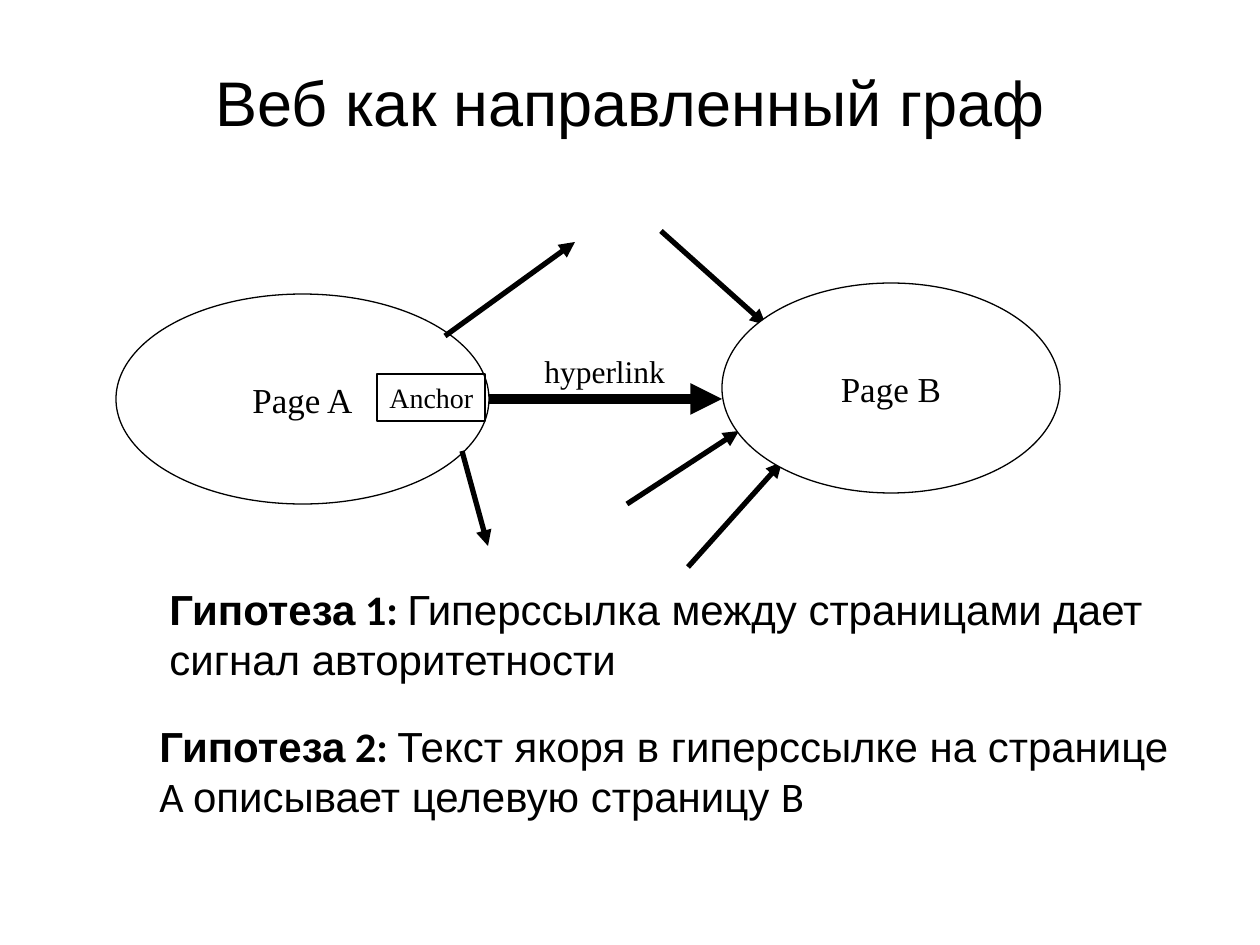
from lxml import etree
from pptx import Presentation
from pptx.dml.color import RGBColor
from pptx.enum.shapes import MSO_CONNECTOR, MSO_SHAPE
from pptx.enum.text import MSO_ANCHOR, PP_ALIGN
from pptx.oxml.ns import qn
from pptx.util import Pt

PX_PER_INCH = 126
EMU_PER_PX = 914400 / PX_PER_INCH

BLACK = RGBColor(0, 0, 0)
WHITE = RGBColor(255, 255, 255)

SANS, LATIN, SERIF = "Arial", "Calibri", "Times New Roman"

STRAIGHT = MSO_CONNECTOR.STRAIGHT
OVAL, RECTANGLE = MSO_SHAPE.OVAL, MSO_SHAPE.RECTANGLE
LEFT, CENTER = PP_ALIGN.LEFT, PP_ALIGN.CENTER
TOP, MIDDLE, BOTTOM = MSO_ANCHOR.TOP, MSO_ANCHOR.MIDDLE, MSO_ANCHOR.BOTTOM


def px(*lengths):
    return [round(length * EMU_PER_PX) for length in lengths]


class GraphSlide:
    """Draws black-on-white elements on one slide, measured in px."""

    def __init__(self, slide):
        self.slide = slide
        self.shapes = slide.shapes

    def add_runs(self, frame, runs, size, align=LEFT, anchor=TOP, wrap=True):
        """Fill a text frame with (text, font name, bold) runs."""
        frame.word_wrap = wrap
        frame.vertical_anchor = anchor
        paragraph = frame.paragraphs[0]
        paragraph.alignment = align
        for text, font_name, bold in runs:
            run = paragraph.add_run()
            run.text = text
            run.font.name = font_name
            run.font.size = Pt(size)
            run.font.bold = bold
            run.font.color.rgb = BLACK

    def title(self, box, text):
        title = self.shapes.title
        title.left, title.top, title.width, title.height = px(*box)
        self.add_runs(title.text_frame, [(text, SANS, False)], 36, CENTER, BOTTOM)

    def text(self, box, runs, size, wrap=True):
        textbox = self.shapes.add_textbox(*px(*box))
        self.add_runs(textbox.text_frame, runs, size, wrap=wrap)

    def outlined(self, kind, box, label, size, align, anchor, fill=None):
        shape = self.shapes.add_shape(kind, *px(*box))
        shape.shadow.inherit = False
        if fill is None:
            shape.fill.background()
        else:
            shape.fill.solid()
            shape.fill.fore_color.rgb = fill
        shape.line.color.rgb = BLACK
        shape.line.width = Pt(0.75)
        self.add_runs(shape.text_frame, [(label, SERIF, False)], size, align, anchor, wrap=False)

    def page(self, box, label):
        self.outlined(OVAL, box, label, 20, CENTER, MIDDLE, WHITE)

    def anchor(self, box, label):
        self.outlined(RECTANGLE, box, label, 16, LEFT, TOP)

    def arrow(self, start, end, width=3):
        connector = self.shapes.add_connector(STRAIGHT, *px(*start, *end))
        connector.line.color.rgb = BLACK
        connector.line.width = Pt(width)
        properties = connector._element.spPr
        line = properties.find(qn("a:ln"))
        etree.SubElement(line, qn("a:tailEnd"), type="triangle")
        etree.SubElement(properties, qn("a:effectLst"))


def main():
    presentation = Presentation()
    presentation.slide_width, presentation.slide_height = px(1260, 945)
    title_only = presentation.slide_layouts[5]
    graph = GraphSlide(presentation.slides.add_slide(title_only))

    graph.title((63, 38, 1134, 107), "Веб как направленный граф")

    graph.text((157, 577, 1018, 113), [
        ("Гипотеза", SANS, True),
        (" 1: ", LATIN, True),
        ("Гиперссылка между страницами дает сигнал авторитетности", SANS, False),
    ], 24)
    graph.text((147, 714, 1061, 113), [
        ("Гипотеза", SANS, True),
        (" 2: ", LATIN, True),
        ("Текст якоря в гиперссылке на странице", SANS, False),
        (" A ", LATIN, False),
        ("описывает целевую страницу ", SANS, False),
        ("B", LATIN, False),
    ], 24)

    graph.arrow((480, 399), (722, 399), width=6)
    graph.page((116, 294, 373, 210), "Page A")
    graph.text((532, 346, 146, 50), [("hyperlink", SERIF, False)], 18, wrap=False)

    outgoing = [((462, 451), (488, 546)), ((445, 336), (575, 242))]
    incoming = [((627, 504), (739, 431)), ((688, 567), (782, 462)),
                ((661, 231), (766, 325))]
    for start, end in outgoing + incoming:
        graph.arrow(start, end)

    graph.page((722, 283, 338, 210), "Page B")
    graph.anchor((377, 374, 108, 47), "Anchor")

    presentation.save("out.pptx")


if __name__ == "__main__":
    main()
